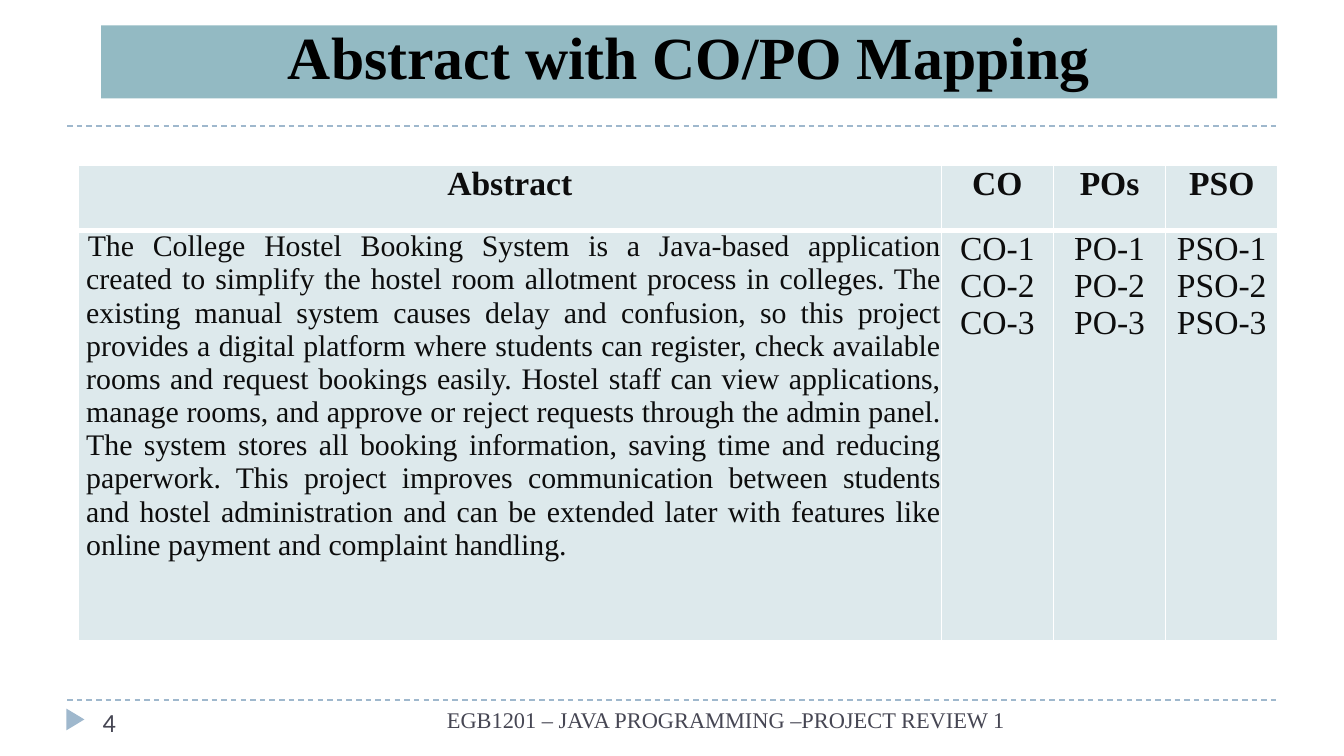
import pptx
import pptx.util
import pptx.dml.color
import pptx.enum.dml
import pptx.enum.shapes
import pptx.enum.text
import pptx.oxml
import pptx.oxml.ns
import lxml.etree

Cm = pptx.util.Cm
Pt = pptx.util.Pt
ALIGN = pptx.enum.text.PP_ALIGN
SHAPE = pptx.enum.shapes.MSO_SHAPE
SERIF = "Times New Roman"
ACCENT = "9FB8CD"
MUTED = "464653"
INK = "0D0D0D"

ABSTRACT = (
    "The College Hostel Booking System is a Java-based application created to "
    "simplify the hostel room allotment process in colleges. The existing manual "
    "system causes delay and confusion, so this project provides a digital platform "
    "where students can register, check available rooms and request bookings easily. "
    "Hostel staff can view applications, manage rooms, and approve or reject requests "
    "through the admin panel. The system stores all booking information, saving time "
    "and reducing paperwork. This project improves communication between students and "
    "hostel administration and can be extended later with features like online payment "
    "and complaint handling."
)


def rgb(value):
    return pptx.dml.color.RGBColor.from_string(value)


def write(tf, text, size, color, align, bold=False, font=SERIF):
    tf.text = text
    tf.word_wrap = True
    for p in tf.paragraphs:
        p.alignment = align
        for r in p.runs:
            r.font.name = font
            r.font.size = Pt(size)
            r.font.bold = bold
            r.font.color.rgb = rgb(color)


def add_rule(s, y):
    line = s.shapes.add_connector(
        pptx.enum.shapes.MSO_CONNECTOR.STRAIGHT, Cm(1.27), Cm(y), Cm(24.13), Cm(y))
    line.line.color.rgb = rgb(ACCENT)
    line.line.width = Pt(0.75)
    line.line.dash_style = pptx.enum.dml.MSO_LINE.DASH
    lxml.etree.SubElement(line._element.spPr, pptx.oxml.ns.qn("a:effectLst"))


def add_filled(s, kind, x, y, w, h, color):
    sp = s.shapes.add_shape(kind, Cm(x), Cm(y), Cm(w), Cm(h))
    sp.shadow.inherit = False
    sp.fill.solid()
    sp.fill.fore_color.rgb = rgb(color)
    sp.line.fill.background()
    return sp


def add_label(s, x, y, w, h, *text_style, **options):
    sp = s.shapes.add_textbox(Cm(x), Cm(y), Cm(w), Cm(h))
    write(sp.text_frame, *text_style, **options)


def set_borders(cell, top, bottom):
    tc_pr = cell._tc.get_or_add_tcPr()
    widths = {"L": 1, "R": 1, "T": top, "B": bottom}
    for i, (side, width) in enumerate(widths.items()):
        tc_pr.insert(i, pptx.oxml.parse_xml(
            f'<a:ln{side} {pptx.oxml.ns.nsdecls("a")} w="{Pt(width)}">'
            '<a:solidFill><a:srgbClr val="FFFFFF"/></a:solidFill>'
            f'</a:ln{side}>'))


def style_cell(cell, top, bottom):
    cell.margin_left = cell.margin_right = 0
    cell.margin_top = cell.margin_bottom = 0
    cell.fill.solid()
    cell.fill.fore_color.rgb = rgb("DDE9EC")
    set_borders(cell, top, bottom)


def add_mapping_table(s):
    columns = [16.31, 2.12, 2.12, 2.12]
    rows = [1.22, 7.77]
    table = s.shapes.add_table(
        2, 4, Cm(1.48), Cm(3.13), Cm(sum(columns)), Cm(sum(rows))).table
    table.horz_banding = False
    for column, width in zip(table.columns, columns):
        column.width = Cm(width)
    for row, height in zip(table.rows, rows):
        row.height = Cm(height)

    headings = ["Abstract", "CO", "POs", "PSO"]
    outcomes = ["\n".join(f"{code}-{n}" for n in range(1, 4))
                for code in ("CO", "PO", "PSO")]
    for i, (heading, body) in enumerate(zip(headings, [ABSTRACT] + outcomes)):
        head, cell = table.cell(0, i), table.cell(1, i)
        style_cell(head, 1, 3)
        style_cell(cell, 3, 1)
        write(head.text_frame, heading, 18, INK, ALIGN.CENTER, bold=True)
        if i == 0:
            write(cell.text_frame, body, 16, INK, ALIGN.JUSTIFY)
            p = cell.text_frame.paragraphs[0]
            p.space_before = Pt(6)
            p_pr = p._p.get_or_add_pPr()
            p_pr.set("marL", str(Cm(0.15)))
            p_pr.set("indent", str(Cm(0.03)))
        else:
            write(cell.text_frame, body, 18, INK, ALIGN.CENTER)


def main():
    prs = pptx.Presentation()
    prs.slide_width, prs.slide_height = Cm(25.4), Cm(14.29)
    s = prs.slides.add_slide(prs.slide_layouts[6])

    for y in (13.23, 2.38):
        add_rule(s, y)
    marker = add_filled(s, SHAPE.ISOSCELES_TRIANGLE, 1.22, 13.43, 0.41, 0.34, ACCENT)
    marker.rotation = 90

    title = add_filled(s, SHAPE.RECTANGLE, 1.91, 0.48, 22.23, 1.38, "93BAC3")
    title.text_frame.vertical_anchor = pptx.enum.text.MSO_ANCHOR.BOTTOM
    write(title.text_frame, "Abstract with CO/PO Mapping", 32, "000000",
          ALIGN.CENTER, bold=True)

    add_label(s, 7.82, 13.23, 11.43, 1.04,
              "EGB1201 – JAVA PROGRAMMING –PROJECT REVIEW 1", 12, MUTED, ALIGN.RIGHT)
    add_label(s, 1.69, 13.23, 5.5, 0.77, "4", 14, MUTED, ALIGN.LEFT, font="Calibri")
    add_mapping_table(s)
    prs.save("out.pptx")


if __name__ == "__main__":
    main()
